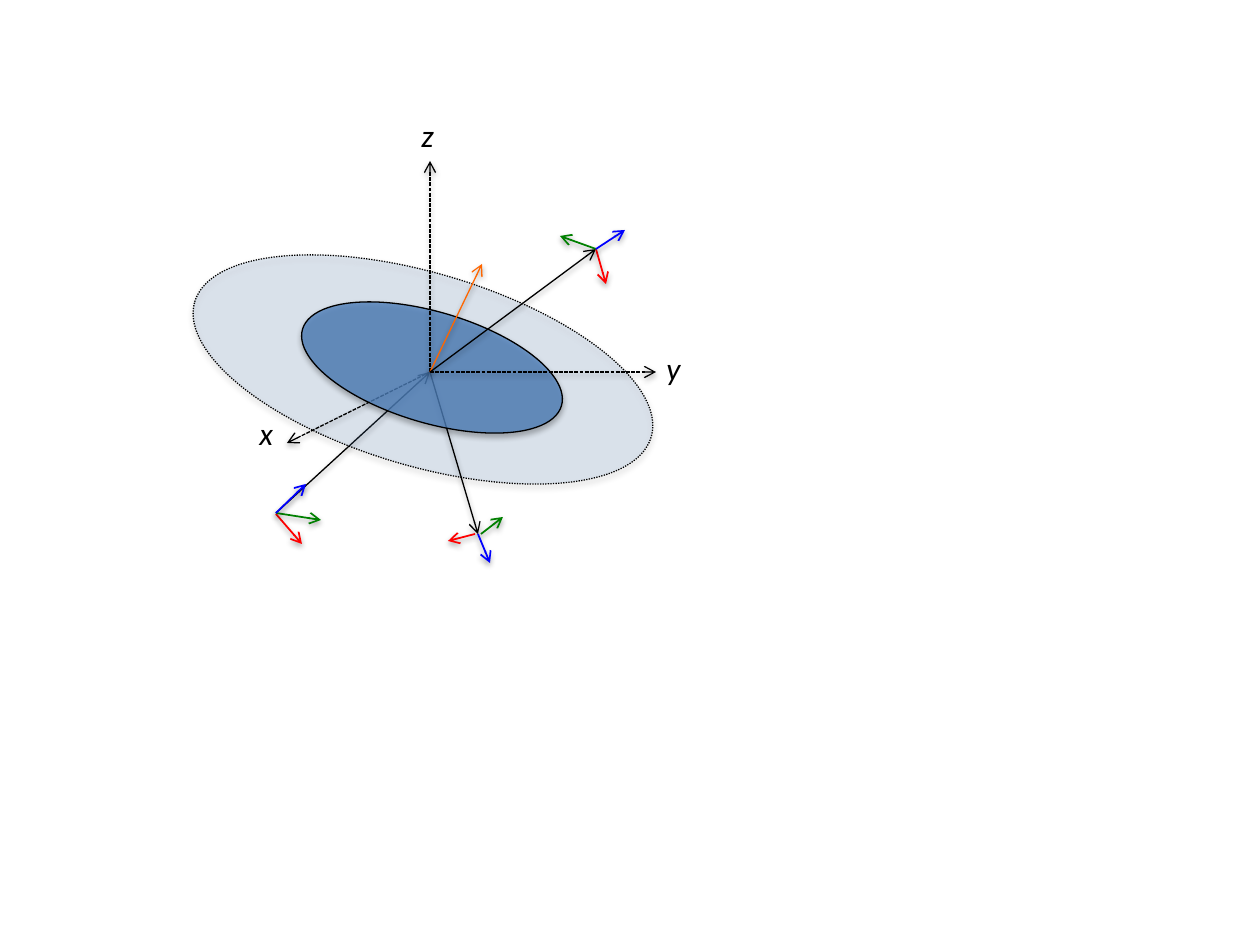
from dataclasses import dataclass
from lxml import etree
from pptx import Presentation
from pptx import util as u
from pptx.dml.color import RGBColor
from pptx.enum import shapes
from pptx.oxml import ns


@dataclass
class Theme:
    black: str = "000000"
    blue: str = "0000FF"
    green: str = "008000"
    red: str = "FF0000"
    orange: str = "FF6600"
    disk: str = "4F81BD"
    font: str = "Calibri"
    size: int = 18
    thin: float = 0.75
    thick: float = 1


look = Theme()
px = u.Inches(1) / 126


def add(node, tag, **attrs):
    child = etree.SubElement(node, ns.qn(tag))
    for key, val in attrs.items():
        child.set(key, str(val))
    return child


def style(shape, color, width, dash, tip, drop, alpha):
    shape.line.color.rgb = RGBColor.from_string(color)
    shape.line.width = u.Pt(width)
    props = shape._element.spPr
    line = props.find(ns.qn("a:ln"))
    if dash:
        add(line, "a:prstDash", val=dash)
    if tip:
        add(line, "a:tailEnd", type="arrow")
    glow = add(add(props, "a:effectLst"), "a:outerShdw", blurRad=40000,
               dist=drop, dir=5400000, rotWithShape=0)
    add(add(glow, "a:srgbClr", val=look.black), "a:alpha", val=alpha * 1000)


deck = Presentation()
deck.slide_width, deck.slide_height = u.Inches(10), u.Inches(7.5)
slide = deck.slides.add_slide(deck.slide_layouts[6])

mid = (430, 372)
front, low, high = (276, 513), (478, 534), (596, 249)
ray = (look.black, look.thin, None)
axis = (look.black, look.thin, "sysDash")
red, green, blue = [(c, look.thick, None)
                    for c in (look.red, look.green, look.blue)]

items = [
    ("arrow", front, mid, ray),
    ("disk", (185, 273), (476, 193), (15, "sysDot")),
    ("arrow", (481, 534), (503, 517), green),
    ("arrow", mid, low, ray),
    ("arrow", mid, (287, 443), axis),
    ("disk", (297, 312), (270, 111), (77, None)),
    ("arrow", mid, (656, 372), axis),
    ("arrow", mid, (430, 161), axis),
    ("arrow", mid, (482, 264), (look.orange, look.thin, None)),
    ("arrow", mid, high, ray),
    ("label", (247, 408), (40, 50), "x"),
    ("label", (654, 343), (40, 50), "y"),
    ("label", (409, 110), (40, 50), "z"),
    ("arrow", (276, 514), (302, 544), red),
    ("arrow", front, (321, 520), green),
    ("arrow", high, (606, 284), red),
    ("arrow", high, (560, 236), green),
    ("arrow", (475, 534), (448, 541), red),
    ("arrow", high, (625, 230), blue),
    ("arrow", low, (490, 563), blue),
    ("arrow", front, (306, 484), blue),
]

for kind, start, end, more in items:
    box = [round(n * px) for n in start + end]
    if kind == "arrow":
        arrow = slide.shapes.add_connector(shapes.MSO_CONNECTOR.STRAIGHT, *box)
        style(arrow, *more, True, 20000, 38)
    elif kind == "disk":
        alpha, dash = more
        disk = slide.shapes.add_shape(shapes.MSO_SHAPE.OVAL, *box)
        disk.rotation = 16.5
        disk.fill.solid()
        disk.fill.fore_color.rgb = RGBColor.from_string(look.disk)
        tint = disk._element.spPr.find(ns.qn("a:solidFill"))[0]
        add(tint, "a:alpha", val=alpha * 1000)
        style(disk, look.black, look.thin, dash, False, 23000, 35)
    else:
        label = slide.shapes.add_textbox(*box)
        label.text_frame.word_wrap = True
        run = label.text_frame.paragraphs[0].add_run()
        run.text = more
        form = {"name": look.font, "size": u.Pt(look.size), "italic": True}
        for key, val in form.items():
            setattr(run.font, key, val)
        run.font.color.rgb = RGBColor.from_string(look.black)

deck.save("out.pptx")
